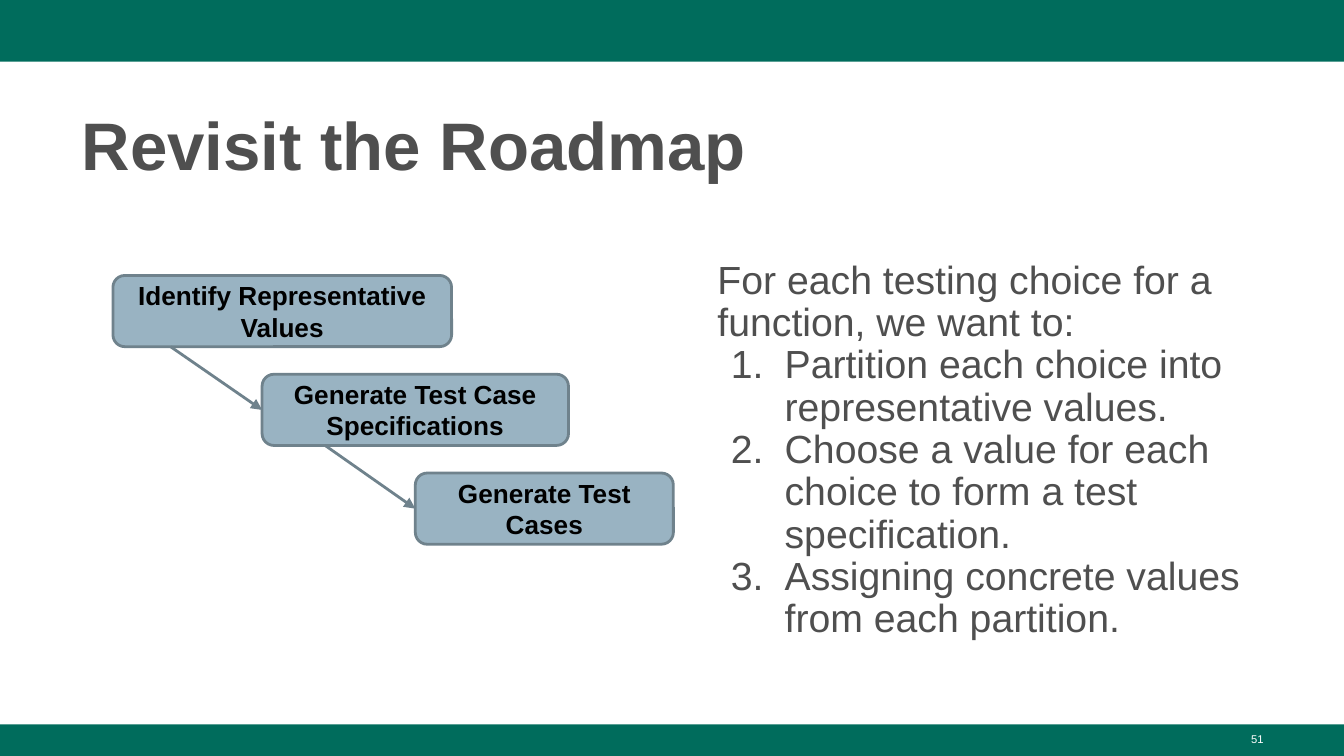
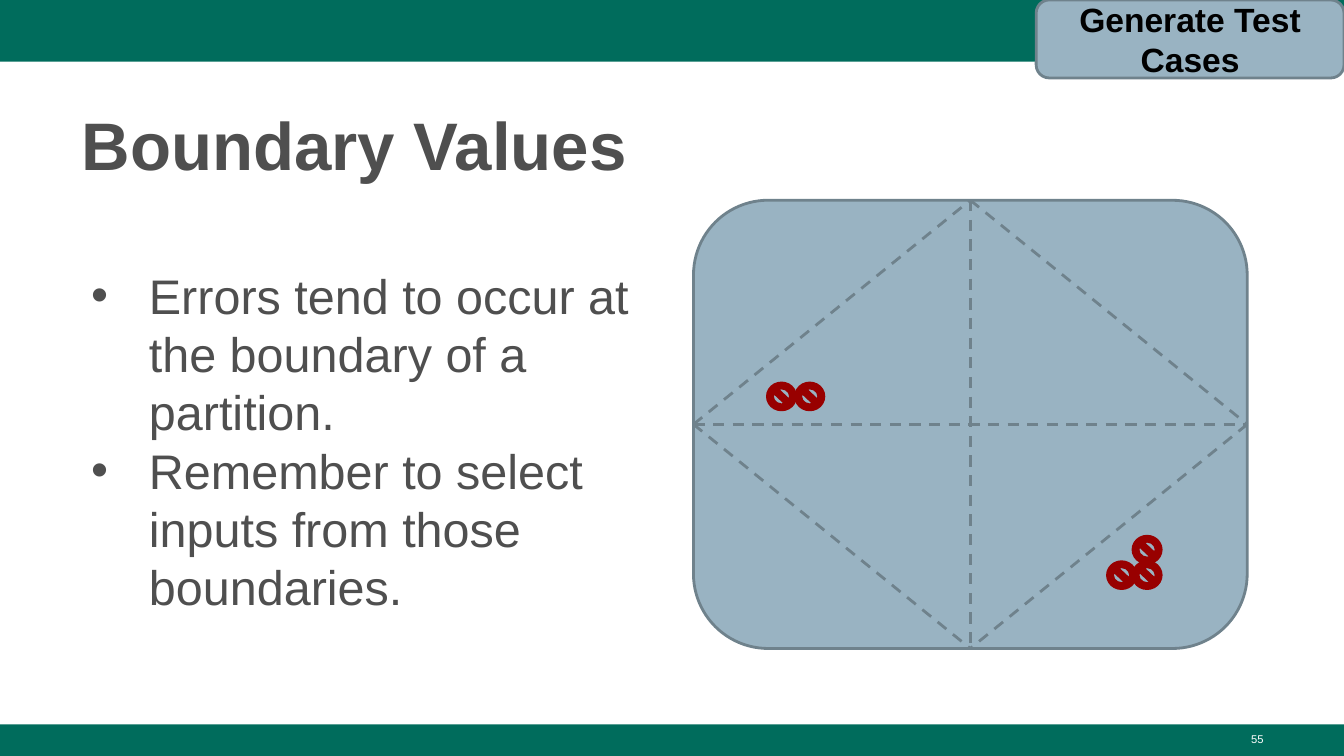
from dataclasses import dataclass

from lxml import etree
from pptx import Presentation
from pptx.dml.color import RGBColor
from pptx.enum.dml import MSO_LINE
from pptx.enum.shapes import MSO_CONNECTOR, MSO_SHAPE
from pptx.enum.text import MSO_ANCHOR, PP_ALIGN
from pptx.oxml.ns import qn
from pptx.util import Inches, Pt

RECTANGLE = MSO_SHAPE.RECTANGLE
ROUNDED = MSO_SHAPE.ROUNDED_RECTANGLE
NO_SYMBOL = MSO_SHAPE.NO_SYMBOL
STRAIGHT = MSO_CONNECTOR.STRAIGHT
DASH = MSO_LINE.DASH
LEFT, CENTER, RIGHT = PP_ALIGN.LEFT, PP_ALIGN.CENTER, PP_ALIGN.RIGHT
TOP, MIDDLE = MSO_ANCHOR.TOP, MSO_ANCHOR.MIDDLE
LEFT_SITE = 1

COLUMNS, ROWS = 100, 56.25
CELL = Inches(0.1)


@dataclass(frozen=True)
class Theme:
    """Colours, type sizes and line width shared by all slides."""

    font: str = "Arial"
    band: str = "006C5C"
    ink: str = "4F4F4F"
    black: str = "000000"
    white: str = "FFFFFF"
    panel: str = "99B3C2"
    edge: str = "6F828C"
    error: str = "980000"
    title_size: float = 36
    list_size: float = 26
    steps_size: float = 21
    tag_size: float = 18
    box_size: float = 14
    number_size: float = 6
    line_width: float = 1.5


def cells(*values):
    """Convert grid cells to slide lengths."""
    return [int(value * CELL) for value in values]


class SlideBuilder:
    """Draws styled elements on the current slide of a deck."""

    def __init__(self, theme):
        """Open an empty deck on the grid."""
        self.theme = theme
        self.deck = Presentation()
        self.deck.slide_width, self.deck.slide_height = cells(COLUMNS, ROWS)
        self.slide = None

    def page(self, title, number):
        """Start a slide with its bands, title and page number."""
        theme = self.theme
        self.slide = self.deck.slides.add_slide(self.deck.slide_layouts[6])
        self.shape(RECTANGLE, (0, 0, COLUMNS, 4.6), theme.band)
        self.shape(RECTANGLE, (0, 53.9, COLUMNS, ROWS - 53.9), theme.band)
        self.text((5.1, 6.7, 89.9, 7.3), [title], theme.title_size,
                  bold=True, spacing=1.08)
        self.text((71.7, 54, 23.3, 2.3), [str(number)], theme.number_size,
                  color=theme.white, align=RIGHT)

    def shape(self, kind, area, fill, edge=None):
        """Add a flat preset shape."""
        shape = self.slide.shapes.add_shape(kind, *cells(*area))
        shape.shadow.inherit = False
        shape.fill.solid()
        shape.fill.fore_color.rgb = RGBColor.from_string(fill)
        if edge:
            shape.line.color.rgb = RGBColor.from_string(edge)
            shape.line.width = Pt(self.theme.line_width)
        else:
            shape.line.fill.background()
        return shape

    def panel(self, area, label="", size=None):
        """Add a rounded panel with an optional bold label."""
        theme = self.theme
        panel = self.shape(ROUNDED, area, theme.panel, theme.edge)
        if label:
            self.set_text(panel.text_frame, [label], size, color=theme.black,
                          bold=True, align=CENTER, anchor=MIDDLE, inset=1)
        return panel

    def text(self, area, lines, size, **style):
        """Add a text box."""
        box = self.slide.shapes.add_textbox(*cells(*area))
        self.set_text(box.text_frame, lines, size, **style)
        return box

    def set_text(self, frame, lines, size, color=None, bold=False, align=LEFT,
                 anchor=TOP, inset=0.5, spacing=None):
        """Fill a text frame with one paragraph per line."""
        frame.word_wrap = True
        frame.vertical_anchor = anchor
        frame.margin_left = frame.margin_right = CELL
        frame.margin_top = frame.margin_bottom = int(inset * CELL)
        frame.text = "\n".join(lines)
        for para in frame.paragraphs:
            para.alignment = align
            if spacing:
                para.line_spacing = spacing
            for span in para.runs:
                span.font.name = self.theme.font
                span.font.size = Pt(size)
                span.font.bold = bold
                span.font.color.rgb = RGBColor.from_string(color or self.theme.ink)

    def itemize(self, paragraphs, hanging, tag, **attributes):
        """Give paragraphs a hanging bullet or number."""
        for para in paragraphs:
            properties = para._p.get_or_add_pPr()
            properties.set("marL", str(5 * CELL))
            properties.set("indent", str(-int(hanging * CELL)))
            tint = etree.SubElement(properties, qn("a:buClr"))
            etree.SubElement(tint, qn("a:srgbClr"), val=self.theme.ink)
            etree.SubElement(properties, qn("a:buFont"), typeface=self.theme.font)
            etree.SubElement(properties, qn(tag), **attributes)

    def line(self, start, end, dashed=False, target=None):
        """Add a line, with an arrowhead when it leads to a target."""
        line = self.slide.shapes.add_connector(STRAIGHT, *cells(*start, *end))
        line.line.color.rgb = RGBColor.from_string(self.theme.edge)
        line.line.width = Pt(self.theme.line_width)
        if dashed:
            line.line.dash_style = DASH
        properties = line._element.spPr
        if target is not None:
            line.end_connect(target, LEFT_SITE)
            etree.SubElement(properties.get_or_add_ln(), qn("a:tailEnd"),
                             type="triangle")
        etree.SubElement(properties, qn("a:effectLst"))


def roadmap_slide(builder):
    """Build the staircase of testing steps and its explanation."""
    theme = builder.theme
    builder.page("Revisit the Roadmap", 51)
    steps = [("Identify Representative Values", 8.4, 25.2, 4.3),
             ("Generate Test Case Specifications", 19.5, 22.8, 4.7),
             ("Generate Test Cases", 30.9, 19.2, 0)]
    first_top, pitch, height = 20.5, 7.35, 5.3
    exit_point = None
    for index, (label, left, width, exit_offset) in enumerate(steps):
        top = first_top + index * pitch
        box = builder.panel((left, top, width, height), label, theme.box_size)
        if exit_point:
            builder.line(exit_point, (left, top + height / 2), target=box)
        exit_point = (left + exit_offset, top + height)
    goals = builder.text(
        (52.4, 13.2, 43.7, 40.7),
        ["For each testing choice for a function, we want to:",
         "Partition each choice into representative values.",
         "Choose a value for each choice to form a test specification.",
         "Assigning concrete values from each partition."],
        theme.steps_size, anchor=MIDDLE, inset=1, spacing=0.9)
    builder.itemize(goals.text_frame.paragraphs[1:], 4, "a:buAutoNum",
                    type="arabicPeriod")


def boundary_slide(builder):
    """Build the partitioned input space with errors near its boundaries."""
    theme = builder.theme
    builder.page("Boundary Values", 55)
    advice = builder.text(
        (5.1, 19.3, 45.6, 32.8),
        ["Errors tend to occur at the boundary of a partition.",
         "Remember to select inputs from those boundaries."],
        theme.list_size)
    builder.itemize(advice.text_frame.paragraphs, 4.3, "a:buChar", char="•")

    left, top, width, height = space = (51.6, 14.9, 41.2, 33.35)
    builder.panel(space)
    for error_left, error_top in [(59.2, 28.5), (57.1, 28.5), (84.3, 41.8),
                                  (84.3, 39.9), (82.4, 41.8)]:
        builder.shape(NO_SYMBOL, (error_left, error_top, 2.1, 2),
                      theme.error, theme.error)
    center, middle = left + width / 2, top + height / 2
    north, south = (center, top), (center, top + height)
    west, east = (left, middle), (left + width, middle)
    for start, end in [(north, south), (west, east), (west, north),
                       (north, east), (east, south), (west, south)]:
        builder.line(start, end, dashed=True)
    builder.panel((77.1, 0, 22.9, 5.8), "Generate Test Cases", theme.tag_size)


def main():
    """Build and save the deck."""
    builder = SlideBuilder(Theme())
    roadmap_slide(builder)
    boundary_slide(builder)
    builder.deck.save("out.pptx")


if __name__ == "__main__":
    main()
